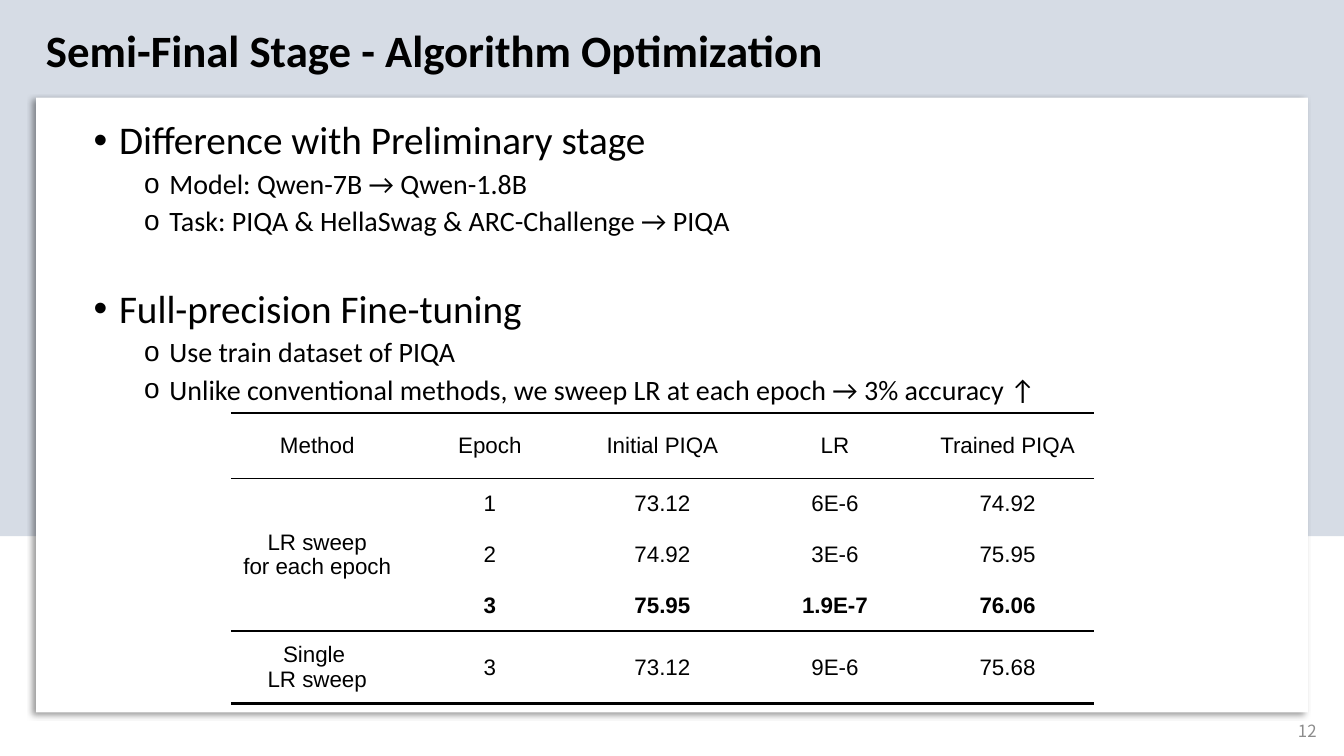
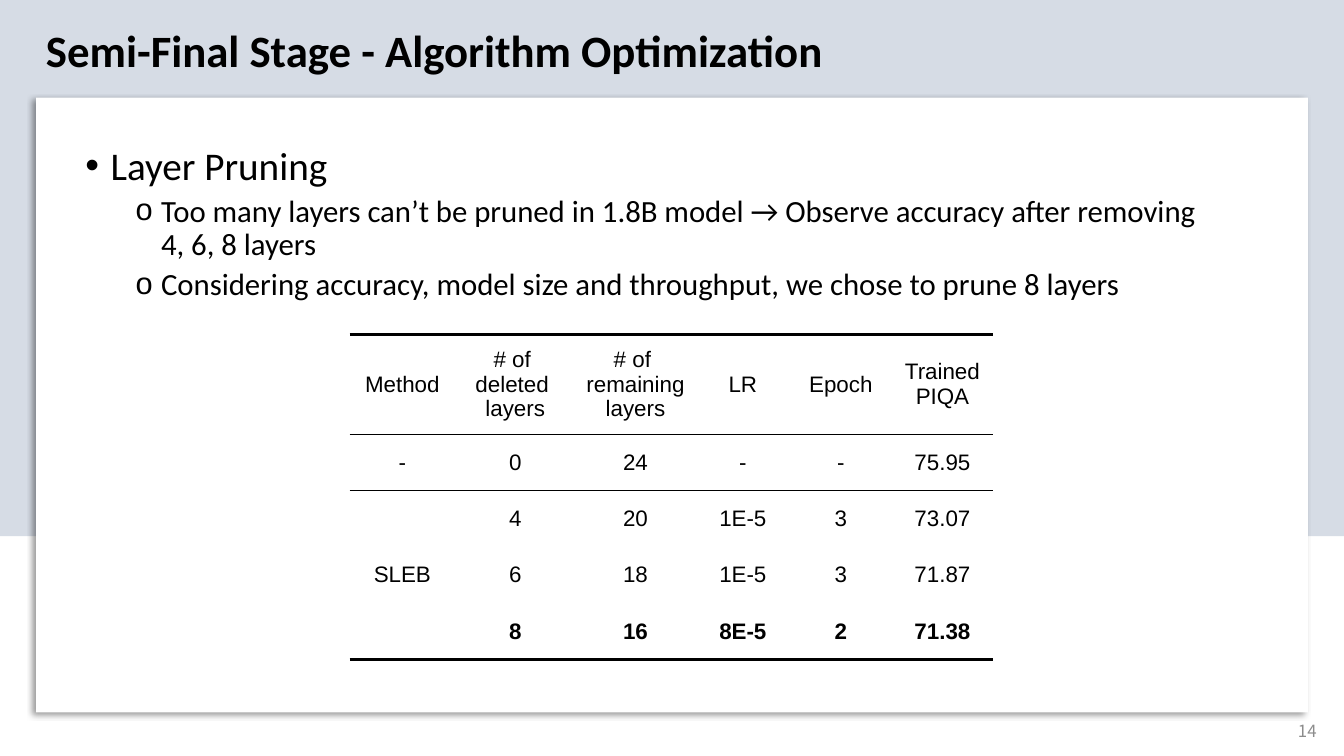
"""Build two slides on algorithm optimization for the semi-final stage."""
from lxml import etree
from pptx import Presentation
from pptx.dml.color import RGBColor
from pptx.enum.shapes import MSO_SHAPE
from pptx.enum.text import MSO_ANCHOR, PP_ALIGN
from pptx.oxml import parse_xml
from pptx.oxml.ns import nsdecls, qn
from pptx.util import Cm, Pt

RECTANGLE = MSO_SHAPE.RECTANGLE
MIDDLE = MSO_ANCHOR.MIDDLE
CENTER, RIGHT = PP_ALIGN.CENTER, PP_ALIGN.RIGHT

COLORS = {"band": "D6DCE5", "panel": "FFFFFF", "text": "000000", "page": "8C8C8C"}
TEXT_FONT, TABLE_FONT, PAGE_FONT = "Calibri", "Arial", "Noto Sans CJK KR"
TITLE = "Semi-Final Stage - Algorithm Optimization"
HEADING_SIZE = 28
BULLETS = [("•", 0.64), ("o", 1.91)]
HANGING = Cm(0.64)
CELL_MARGIN = Cm(0.23)
THICK, THIN = 2.25, 1


def set_font(paragraph, name, size, color="text", bold=False):
    font = paragraph.font
    font.name, font.size, font.bold = name, Pt(size), bold
    font.color.rgb = RGBColor.from_string(COLORS[color])


def add_rectangle(slide, left, top, width, height, color):
    shape = slide.shapes.add_shape(RECTANGLE, Cm(left), Cm(top), Cm(width), Cm(height))
    shape.shadow.inherit = False
    shape.fill.solid()
    shape.fill.fore_color.rgb = RGBColor.from_string(COLORS[color])
    shape.line.fill.background()
    return shape


def add_shadow(shape):
    effects = shape._element.spPr.find(qn("a:effectLst"))
    effects.append(parse_xml(
        f'<a:outerShdw {nsdecls("a")} blurRad="{Pt(4)}" dist="{Pt(3)}" dir="8100000" '
        f'algn="tr" rotWithShape="0"><a:srgbClr val="{COLORS["text"]}">'
        '<a:alpha val="40000"/></a:srgbClr></a:outerShdw>'))


def add_text_box(slide, left, top, width, height, wrap=True):
    box = slide.shapes.add_textbox(Cm(left), Cm(top), Cm(width), Cm(height))
    box.text_frame.word_wrap = wrap
    return box.text_frame


def add_base_slide(presentation, page_number):
    slide = presentation.slides.add_slide(presentation.slide_layouts[6])
    add_rectangle(slide, 0, 0, 33.87, 13.51, "band")
    add_shadow(add_rectangle(slide, 0.91, 2.46, 32.05, 15.49, "panel"))

    page = add_text_box(slide, 25.81, 17.91, 7.62, 1.02)
    page.vertical_anchor = MIDDLE
    page.text = str(page_number)
    page.paragraphs[0].alignment = RIGHT
    set_font(page.paragraphs[0], PAGE_FONT, 12, "page")

    title = add_text_box(slide, 0.91, 0.46, 20.29, 1.63, wrap=False)
    title.text = TITLE
    set_font(title.paragraphs[0], TEXT_FONT, 32, bold=True)
    return slide


def format_bullet(paragraph, level, size, space_before):
    symbol, margin = BULLETS[level]
    paragraph.level = level
    paragraph.line_spacing = 0.9
    paragraph.space_before = Pt(space_before)
    properties = paragraph._p.get_or_add_pPr()
    properties.set("marL", str(Cm(margin)))
    properties.set("indent", str(-HANGING))
    etree.SubElement(properties, qn("a:buFont"), typeface=TABLE_FONT)
    etree.SubElement(properties, qn("a:buChar"), char=symbol)
    set_font(paragraph, TEXT_FONT, size)


def add_outline(slide, left, top, sections, item_size):
    frame = add_text_box(slide, left, top, 30.12, 12.4)
    for index, (heading, items) in enumerate(sections):
        paragraph = frame.add_paragraph() if index else frame.paragraphs[0]
        paragraph.text = heading
        format_bullet(paragraph, 0, HEADING_SIZE, 37 if index else 0)
        for item in items:
            paragraph = frame.add_paragraph()
            paragraph.text = item
            format_bullet(paragraph, 1, item_size, 5)


def add_border(cell, side, weight):
    line = etree.SubElement(cell._tc.get_or_add_tcPr(), qn(f"a:ln{side}"))
    if weight:
        line.set("w", str(Pt(weight)))
        fill = etree.SubElement(line, qn("a:solidFill"))
        etree.SubElement(fill, qn("a:srgbClr"), val=COLORS["text"])
    else:
        etree.SubElement(line, qn("a:noFill"))


def format_cell(cell, text, top_rule, bottom_rule, bold):
    for side, weight in (("L", 0), ("R", 0), ("T", top_rule), ("B", bottom_rule)):
        add_border(cell, side, weight)
    cell.fill.background()
    cell.vertical_anchor = MIDDLE
    cell.margin_left = cell.margin_right = CELL_MARGIN
    cell.margin_top = cell.margin_bottom = CELL_MARGIN
    cell.text = text
    for paragraph in cell.text_frame.paragraphs:
        paragraph.alignment = CENTER
        set_font(paragraph, TABLE_FONT, 16, bold=bold)


def add_ruled_table(slide, left, top, widths, heights, rows, rules, merged, bold_row):
    table = slide.shapes.add_table(
        len(rows), len(widths), Cm(left), Cm(top), Cm(sum(widths)), Cm(sum(heights))).table
    table.first_row = table.horz_banding = False
    for column, width in zip(table.columns, widths):
        column.width = Cm(width)
    for row, height in zip(table.rows, heights):
        row.height = Cm(height)
    first, last = merged
    table.cell(first, 0).merge(table.cell(last, 0))
    for row_index, values in enumerate(rows):
        for column_index, value in enumerate(values):
            cell = table.cell(row_index, column_index)
            bottom = row_index + cell.span_height
            format_cell(cell, value, rules.get(row_index), rules.get(bottom),
                        row_index == bold_row)


def add_fine_tuning_slide(presentation):
    slide = add_base_slide(presentation, 12)
    add_outline(slide, 2.11, 2.92, [
        ("Difference with Preliminary stage", [
            "Model: Qwen-7B → Qwen-1.8B",
            "Task: PIQA & HellaSwag & ARC-Challenge → PIQA"]),
        ("Full-precision Fine-tuning", [
            "Use train dataset of PIQA",
            "Unlike conventional methods, we sweep LR at each epoch → 3% accuracy ↑"]),
    ], 20)
    rows = [
        ["Method", "Epoch", "Initial PIQA", "LR", "Trained PIQA"],
        ["LR sweep\nfor each epoch", "1", "73.12", "6E-6", "74.92"],
        ["", "2", "74.92", "3E-6", "75.95"],
        ["", "3", "75.95", "1.9E-7", "76.06"],
        ["Single \nLR sweep", "3", "73.12", "9E-6", "75.68"],
    ]
    add_ruled_table(slide, 5.82, 10.41, [4.35] * 5, [1.65] + [1.28] * 3 + [1.83], rows,
                    {0: THICK, 1: THIN, 4: THIN, 5: THICK}, merged=(1, 3), bold_row=3)


def add_pruning_slide(presentation):
    slide = add_base_slide(presentation, 14)
    add_outline(slide, 1.9, 3.56, [
        ("Layer Pruning", [
            "Too many layers can’t be pruned in 1.8B model → "
            "Observe accuracy after removing\v4, 6, 8 layers",
            "Considering accuracy, model size and throughput, we chose to prune 8 layers"]),
    ], 22)
    rows = [
        ["Method", "# of \ndeleted \nlayers", "# of \nremaining layers",
         "LR", "Epoch", "Trained PIQA"],
        ["-", "0", "24", "-", "-", "75.95"],
        ["SLEB", "4", "20", "1E-5", "3", "73.07"],
        ["", "6", "18", "1E-5", "3", "71.87"],
        ["", "8", "16", "8E-5", "2", "71.38"],
    ]
    add_ruled_table(slide, 8.81, 8.43, [2.66, 3.03, 3.03, 2.38, 2.56, 2.56],
                    [2.51] + [1.42] * 4, rows,
                    {0: THICK, 1: THIN, 2: THIN, 5: THICK}, merged=(2, 4), bold_row=4)


def main():
    presentation = Presentation()
    presentation.slide_width, presentation.slide_height = Cm(33.87), Cm(19.05)
    add_fine_tuning_slide(presentation)
    add_pruning_slide(presentation)
    presentation.save("out.pptx")


if __name__ == "__main__":
    main()
